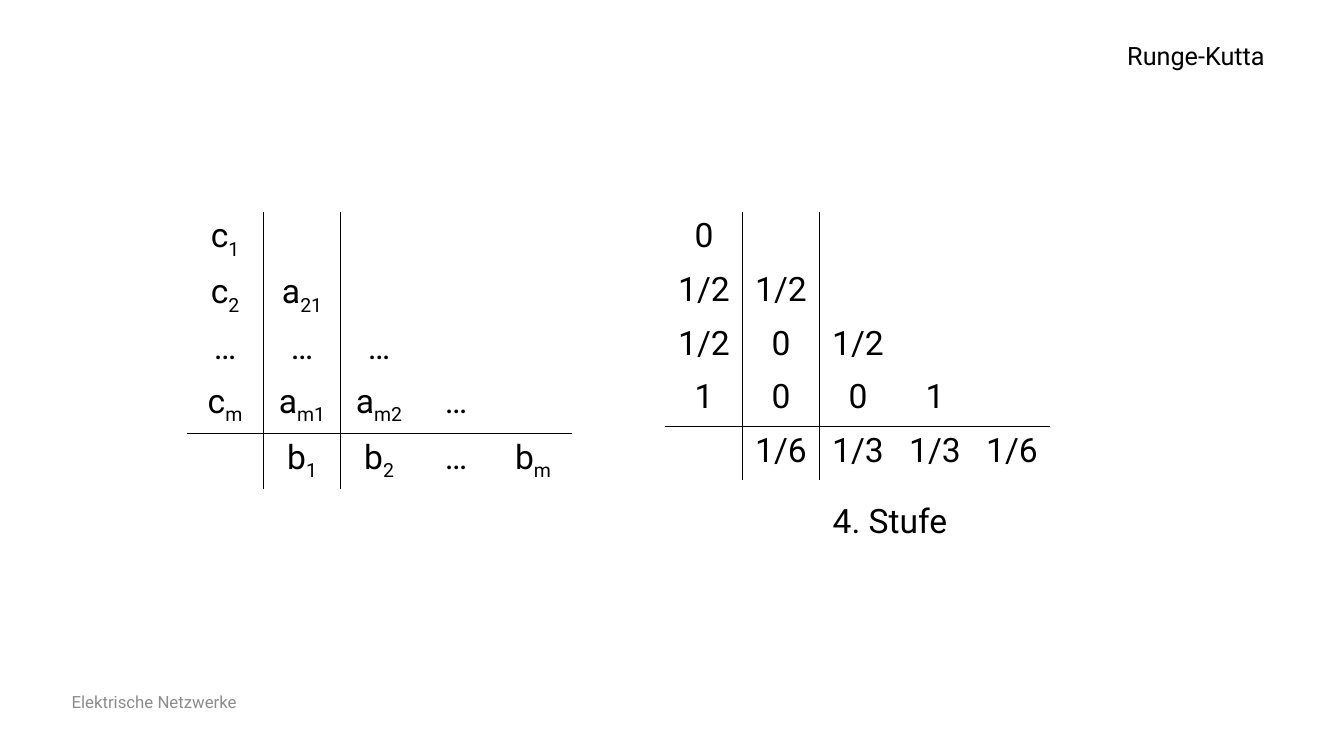
"""Build a slide with the general and the four-stage Runge-Kutta tableau."""
from dataclasses import dataclass

from pptx import Presentation
from pptx import util as u
from pptx.dml.color import RGBColor
from pptx.enum import text
from pptx.oxml import parse_xml
from pptx.oxml.ns import nsdecls

TITLE = "Runge-Kutta"
FOOTER = "Elektrische Netzwerke"
CAPTION = "4. Stufe"
FOUR_STAGE = [
    ["0"],
    ["1/2", "1/2"],
    ["1/2", "0", "1/2"],
    ["1", "0", "0", "1"],
    ["", "1/6", "1/3", "1/3", "1/6"],
]
GENERAL = [
    ["c_1"],
    ["c_2", "a_21"],
    ["…", "…", "…"],
    ["c_m", "a_m1", "a_m2", "…"],
    ["", "b_1", "b_2", "…", "b_m"],
]


@dataclass(frozen=True)
class Theme:
    font: str = "Roboto"
    ink: str = "000000"
    muted: str = "8C8C8C"
    title: int = 18
    body: int = 24
    footer: int = 12
    rule: int = 1
    subscript: int = -25000
    plain_table: str = "{2D5ABB26-0587-4C30-8999-92F81FD0307C}"


THEME = Theme()
SIZE = 5
TABLEAU = (3.82, 2.66)
TABLEAU_TOP = 2.1


def style(paragraph, size, color=THEME.ink, align=text.PP_ALIGN.LEFT):
    paragraph.alignment = align
    paragraph.font.name = THEME.font
    paragraph.font.size = u.Pt(size)
    paragraph.font.color.rgb = RGBColor.from_string(color)
    for run in paragraph.runs:
        run.font.name = THEME.font
        run.font.size = u.Pt(size)
        run.font.color.rgb = RGBColor.from_string(color)


def write(label, box, wording, size, color=THEME.ink,
          align=text.PP_ALIGN.LEFT, anchor=text.MSO_ANCHOR.TOP):
    label.left, label.top, label.width, label.height = map(u.Inches, box)
    frame = label.text_frame
    frame.text = wording
    frame.word_wrap = True
    frame.vertical_anchor = anchor
    style(frame.paragraphs[0], size, color, align)
    return frame


def rule(cell, side):
    cell._tc.get_or_add_tcPr().append(parse_xml(
        f'<a:ln{side} {nsdecls("a")} w="{u.Pt(THEME.rule)}"><a:solidFill>'
        f'<a:srgbClr val="{THEME.ink}"/></a:solidFill></a:ln{side}>'))


def add_tableau(slide, left, coefficients):
    width, height = map(u.Inches, TABLEAU)
    frame = slide.shapes.add_table(
        SIZE, SIZE, u.Inches(left), u.Inches(TABLEAU_TOP), width, height)
    tableau = frame.table
    tableau.first_row = tableau.horz_banding = False
    tableau._tbl.tblPr[0].text = THEME.plain_table
    for row in range(SIZE):
        for column in range(SIZE):
            cell = tableau.cell(row, column)
            sides = {"L": column == 1, "R": column == 0,
                     "T": row == SIZE - 1, "B": row == SIZE - 2}
            for side, ruled in sides.items():
                if ruled:
                    rule(cell, side)
            cell.fill.background()
            if column < len(coefficients[row]):
                symbol, _, index = coefficients[row][column].partition("_")
                entry = cell.text_frame.paragraphs[0]
                if symbol:
                    entry.add_run().text = symbol
                if index:
                    subscript = entry.add_run()
                    subscript.text = index
                    subscript.font._element.set("baseline", str(THEME.subscript))
                style(entry, THEME.body, align=text.PP_ALIGN.CENTER)


def main():
    deck = Presentation()
    deck.slide_width, deck.slide_height = u.Inches(13.33), u.Inches(7.5)
    slide = deck.slides.add_slide(deck.slide_layouts[5])

    heading = write(slide.shapes.title, (10.96, 0.35, 1.9, 0.4), TITLE, THEME.title)
    heading.margin_left = u.Inches(0.22)
    heading.auto_size = text.MSO_AUTO_SIZE.NONE

    footer = slide.shapes.add_textbox(0, 0, 0, 0)
    write(footer, (0, 6.76, 3.06, 0.4), FOOTER, THEME.footer, THEME.muted,
          text.PP_ALIGN.CENTER, text.MSO_ANCHOR.MIDDLE)

    add_tableau(slide, 6.6, FOUR_STAGE)
    add_tableau(slide, 1.85, GENERAL)

    caption = slide.shapes.add_textbox(0, 0, 0, 0)
    write(caption, (8.16, 4.91, 1.39, 0.5), CAPTION, THEME.body)
    deck.save("out.pptx")


if __name__ == "__main__":
    main()
